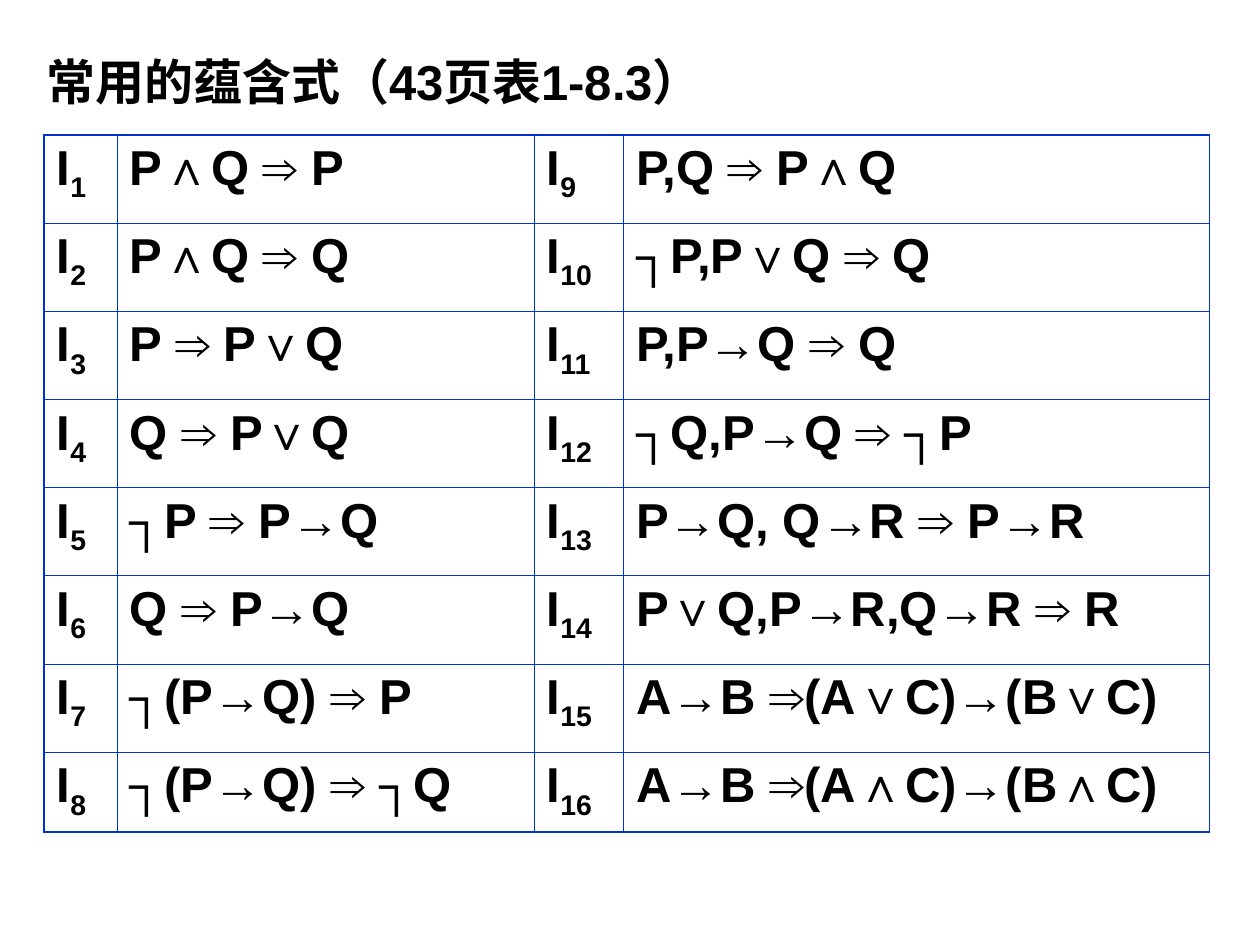
"""Build a slide with a table of common logical implications."""
from lxml import etree
from pptx import Presentation
from pptx import util as u
from pptx.dml.color import RGBColor
from pptx.enum import text
from pptx.oxml.ns import qn

HEADING = "常用的蕴含式（43页表1-8.3）"
IMPLICATIONS = [
    "P∧Q ⇒ P",
    "P∧Q ⇒ Q",
    "P ⇒ P∨Q",
    "Q ⇒ P∨Q",
    "┐P ⇒ P→Q",
    "Q ⇒ P→Q",
    "┐(P→Q) ⇒ P",
    "┐(P→Q) ⇒ ┐Q",
    "P,Q ⇒ P∧Q",
    "┐P,P∨Q ⇒ Q",
    "P,P→Q ⇒ Q",
    "┐Q,P→Q ⇒ ┐P",
    "P→Q, Q→R ⇒ P→R",
    "P∨Q,P→R,Q→R ⇒ R",
    "A→B ⇒(A∨C)→(B∨C)",
    "A→B ⇒(A∧C)→(B∧C)",
]
COLORS = {"ink": "000000", "rule": "0033CC"}
COLUMN_WIDTHS = [0.58, 3.31, 0.71, 4.65]
ROW_HEIGHTS = [0.7] * 7 + [0.63]
OUTER_RULE, INNER_RULE = 1.08, 0.45


def add_run(paragraph, words, baseline=None):
    run = paragraph.add_run()
    run.text = words
    run.font.name = "Arial"
    run.font.size = u.Pt(28)
    run.font.bold = True
    run.font.color.rgb = RGBColor.from_string(COLORS["ink"])
    if baseline is not None:
        run.font._element.set("baseline", str(baseline * 1000))


def add_border(cell, side, points):
    line = etree.SubElement(cell._tc.get_or_add_tcPr(), qn(f"a:{side}"), w=str(u.Pt(points)))
    fill = etree.SubElement(line, qn("a:solidFill"))
    etree.SubElement(fill, qn("a:srgbClr"), val=COLORS["rule"])


def format_cell(cell, row, column):
    edges = {
        "lnL": column == 0,
        "lnR": column == len(COLUMN_WIDTHS) - 1,
        "lnT": row == 0,
        "lnB": row == len(ROW_HEIGHTS) - 1,
    }
    for side, is_outer in edges.items():
        add_border(cell, side, OUTER_RULE if is_outer else INNER_RULE)
    cell.fill.background()


def add_heading(slide):
    heading = slide.shapes.title
    heading.left, heading.top = u.Inches(0.27), u.Inches(0.36)
    heading.width, heading.height = u.Inches(7.4), u.Inches(0.57)
    frame = heading.text_frame
    frame.word_wrap = True
    frame.auto_size = text.MSO_AUTO_SIZE.SHAPE_TO_FIT_TEXT
    frame.vertical_anchor = text.MSO_ANCHOR.TOP
    paragraph = frame.paragraphs[0]
    paragraph.alignment = text.PP_ALIGN.LEFT
    add_run(paragraph, HEADING)


def add_implications(slide):
    row_count = len(ROW_HEIGHTS)
    implications = slide.shapes.add_table(
        row_count, len(COLUMN_WIDTHS), u.Inches(0.35), u.Inches(1.07),
        u.Inches(sum(COLUMN_WIDTHS)), u.Inches(sum(ROW_HEIGHTS)),
    ).table
    implications.first_row = implications.horz_banding = False
    for column, width in zip(implications.columns, COLUMN_WIDTHS):
        column.width = u.Inches(width)
    for row, height in zip(implications.rows, ROW_HEIGHTS):
        row.height = u.Inches(height)
    for index, formula in enumerate(IMPLICATIONS):
        half, row = divmod(index, row_count)
        label_column = 2 * half
        label = implications.cell(row, label_column)
        rule = implications.cell(row, label_column + 1)
        add_run(label.text_frame.paragraphs[0], "I")
        add_run(label.text_frame.paragraphs[0], str(index + 1), baseline=-25)
        add_run(rule.text_frame.paragraphs[0], formula)
        format_cell(label, row, label_column)
        format_cell(rule, row, label_column + 1)


def main():
    deck = Presentation()
    deck.slide_width, deck.slide_height = u.Inches(10), u.Inches(7.5)
    slide = deck.slides.add_slide(deck.slide_layouts.get_by_name("Title Only"))
    add_heading(slide)
    add_implications(slide)
    deck.save("out.pptx")


if __name__ == "__main__":
    main()
